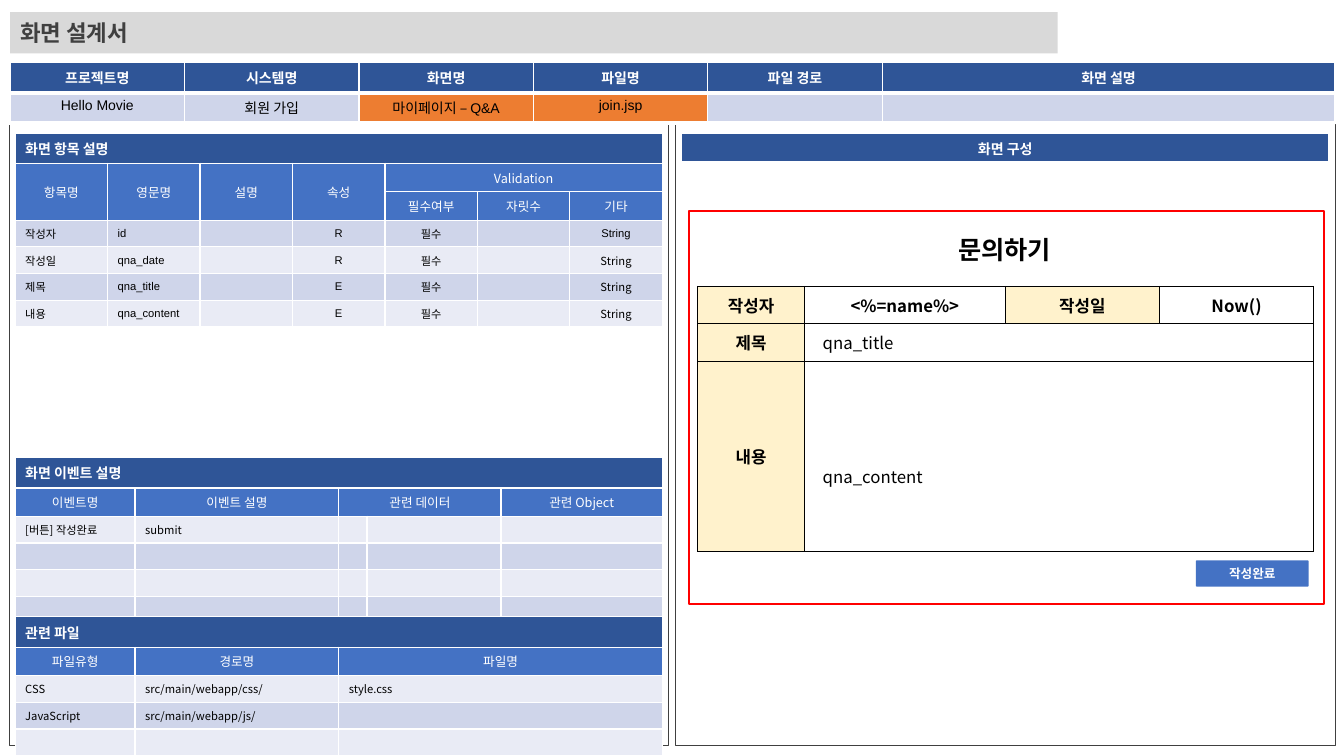
from lxml import etree
from pptx import Presentation
from pptx.dml.color import RGBColor
from pptx.enum import shapes, text
from pptx.oxml import ns
from pptx.util import Inches, Pt

NOTO, ARIAL = "Noto Sans CJK KR", "Arial"
NAVY, BLUE, PALE, LIGHT = "2F5597", "4472C4", "CFD5EA", "E9EBF5"
WHITE, BLACK, GREY, CREAM = "FFFFFF", "000000", "404040", "FFF2CC"
ORANGE, RED = "ED7D31", "FF0000"
LEFT, MID = text.PP_ALIGN.LEFT, text.PP_ALIGN.CENTER
BOX, ROUND = shapes.MSO_SHAPE.RECTANGLE, shapes.MSO_SHAPE.ROUNDED_RECTANGLE
HEAD, SUB, BODY = 0.3, 0.28, 0.265


def paint(fill, hue):
    """Fill with a solid colour, or with nothing."""
    if hue:
        fill.solid()
        fill.fore_color.rgb = RGBColor.from_string(hue)
    else:
        fill.background()


def write(frame, words, size, hue=BLACK, bold=False, align=MID, font=NOTO):
    """Write one paragraph in a text frame."""
    para = frame.paragraphs[0]
    para.alignment = align
    para.font.size, para.font.bold, para.font.name = Pt(size), bold, font
    para.font.color.rgb = RGBColor.from_string(hue)
    if words:
        para.add_run().text = words
    else:
        etree.SubElement(para._p, ns.qn("a:endParaRPr"), sz=str(size * 100))


def block(slide, spot, fill=None, line=None, width=0.5, kind=BOX):
    """Add a flat shape."""
    shape = slide.shapes.add_shape(kind, *map(Inches, spot))
    shape.shadow.inherit = False
    paint(shape.fill, fill)
    paint(shape.line.fill, line)
    if line:
        shape.line.width = Pt(width)
    shape.text_frame.vertical_anchor = text.MSO_ANCHOR.MIDDLE
    return shape


def edge(cell, hue, width, base):
    """Draw the four borders of a cell."""
    props = cell._tc.get_or_add_tcPr()
    for side in "LRTB":
        size = Pt(base if side == "B" else width)
        line = etree.SubElement(props, ns.qn("a:ln" + side), w=str(size))
        fill = etree.SubElement(line, ns.qn("a:solidFill"))
        etree.SubElement(fill, ns.qn("a:srgbClr"), val=hue)


def grid(slide, left, top, cols, rows, hue=WHITE, width=1, base=None):
    """Add a plain table with bordered cells."""
    spot = map(Inches, (left, top, sum(cols), sum(rows)))
    table = slide.shapes.add_table(len(rows), len(cols), *spot).table
    table.first_row = table.horz_banding = False
    for col, size in zip(table.columns, cols):
        col.width = Inches(size)
    for row, size in zip(table.rows, rows):
        row.height = Inches(size)
    for cell in table.iter_cells():
        edge(cell, hue, width, base or width)
    return table


def put(cell, words, fill, size, anchor=text.MSO_ANCHOR.MIDDLE, **look):
    """Fill a cell and write its text."""
    paint(cell.fill, fill)
    cell.vertical_anchor = anchor
    write(cell.text_frame, words, size, **look)


def panel(slide, top, cols, title, subs, data, first, font=NOTO, mids=()):
    """Add a titled table with header rows and banded body rows."""
    deep = 1 + len(subs)
    sizes = [HEAD] + [SUB] * len(subs) + [BODY] * len(data)
    table = grid(slide, 0.15, top, cols, sizes)
    lines = [[title] + [""] * (len(cols) - 1)] + subs + data
    for r, line in enumerate(lines):
        for c, words in enumerate(line):
            cell = table.cell(r, c)
            if r == 0:
                put(cell, words, NAVY, 10, hue=WHITE, bold=True, align=LEFT)
            elif r < deep:
                put(cell, words, BLUE, 9, hue=WHITE)
            else:
                band = first[(r - deep) % 2]
                face = NOTO if words == "String" and r > deep else font
                put(cell, words, band, 8, font=face,
                    align=MID if c in mids else LEFT)
    table.cell(0, 0).merge(table.cell(0, len(cols) - 1))
    return table


def summary(slide):
    """Add the project summary across the top."""
    names = ["프로젝트명", "시스템명", "화면명", "파일명", "파일 경로", "화면 설명"]
    facts = ["Hello Movie", "회원 가입", "마이페이지 – Q&A", "join.jsp", "", ""]
    table = grid(slide, 0.1, 0.62, [1.73] * 5 + [4.49], [0.3, 0.29], base=3)
    high = text.MSO_ANCHOR.TOP
    for c, (name, fact) in enumerate(zip(names, facts)):
        put(table.cell(0, c), name, NAVY, 10, high, hue=WHITE, bold=True,
            font=ARIAL)
        put(table.cell(1, c), fact, ORANGE if c in (2, 3) else PALE, 10, high,
            font=ARIAL)


def items(slide):
    """Add the table of screen items."""
    subs = [["항목명", "영문명", "설명", "속성", "Validation", "", ""],
            [""] * 4 + ["필수여부", "자릿수", "기타"]]
    keys = [("작성자", "id", "R"), ("작성일", "qna_date", "R"),
            ("제목", "qna_title", "E"), ("내용", "qna_content", "E")]
    data = [[name, key, "", mode, "필수", "", "String"]
            for name, key, mode in keys]
    table = panel(slide, 1.32, [6.42 / 7] * 7, "화면 항목 설명", subs, data,
                  (PALE, LIGHT), ARIAL, (3, 4, 6))
    for c in range(4):
        table.cell(1, c).merge(table.cell(2, c))
    table.cell(1, 4).merge(table.cell(1, 6))


def events(slide):
    """Add the table of screen events."""
    subs = [["이벤트명", "이벤트 설명", "관련 데이터", "", "관련 Object"]]
    data = [["[버튼] 작성완료", "submit", "", "", ""]] + [[""] * 5] * 3
    table = panel(slide, 4.54, [1.19, 2.02, 0.28, 1.33, 1.6],
                  "화면 이벤트 설명", subs, data, (LIGHT, PALE))
    table.cell(1, 2).merge(table.cell(1, 3))


def files(slide):
    """Add the table of related files."""
    data = [["CSS", "src/main/webapp/css/", "style.css"],
            ["JavaScript", "src/main/webapp/js/", ""], [""] * 3]
    panel(slide, 6.12, [1.19, 2.02, 3.21], "관련 파일",
          [["파일유형", "경로명", "파일명"]], data, (LIGHT, PALE))


def form(slide):
    """Add the layout of the inquiry form."""
    bar = grid(slide, 6.76, 1.32, [6.42], [0.29], base=3)
    put(bar.cell(0, 0), "화면 구성", NAVY, 10, text.MSO_ANCHOR.TOP,
        hue=WHITE, bold=True)
    title = slide.shapes.add_textbox(*map(Inches, (8.74, 2.28, 2.45, 0.4)))
    title.text_frame.word_wrap = True
    write(title.text_frame, "문의하기", 18, bold=True)
    block(slide, (6.83, 2.09, 6.3, 3.9), line=RED, width=1.5)
    send = block(slide, (11.86, 5.56, 1.12, 0.26), BLUE, kind=ROUND)
    send.adjustments[0] = 0.04
    write(send.text_frame, "작성완료", 9, WHITE, True, font=ARIAL)
    table = grid(slide, 6.92, 2.84, [1.06, 1.99, 1.53, 1.53],
                 [0.37, 0.37, 1.89], BLACK, 0.5)
    lines = [["작성자", "<%=name%>", "작성일", "Now()"],
             ["제목", "qna_title", "", ""], ["내용", "qna_content", "", ""]]
    for r, line in enumerate(lines):
        for c, words in enumerate(line):
            label = c == 0 or (r == 0 and c == 2)
            free = r > 0 and c > 0
            put(table.cell(r, c), words, CREAM if label else WHITE, 12,
                bold=not free, align=LEFT if free else MID)
    for r in (1, 2):
        table.cell(r, 1).merge(table.cell(r, 3))
        table.cell(r, 1).margin_left = Inches(0.18)
    table.cell(2, 1).margin_top = Inches(0.45)


def main():
    """Build the screen design slide."""
    deck = Presentation()
    deck.slide_width, deck.slide_height = Inches(13.33), Inches(7.5)
    slide = deck.slides.add_slide(deck.slide_layouts[6])
    block(slide, (0.09, 1.23, 6.54, 6.17), line=GREY)
    title = block(slide, (0.1, 0.12, 10.39, 0.41), "D9D9D9")
    write(title.text_frame, "화면 설계서", 16, GREY, True, LEFT)
    block(slide, (6.7, 1.23, 6.54, 6.17), line=GREY)
    summary(slide)
    items(slide)
    events(slide)
    files(slide)
    form(slide)
    deck.save("out.pptx")


if __name__ == "__main__":
    main()
